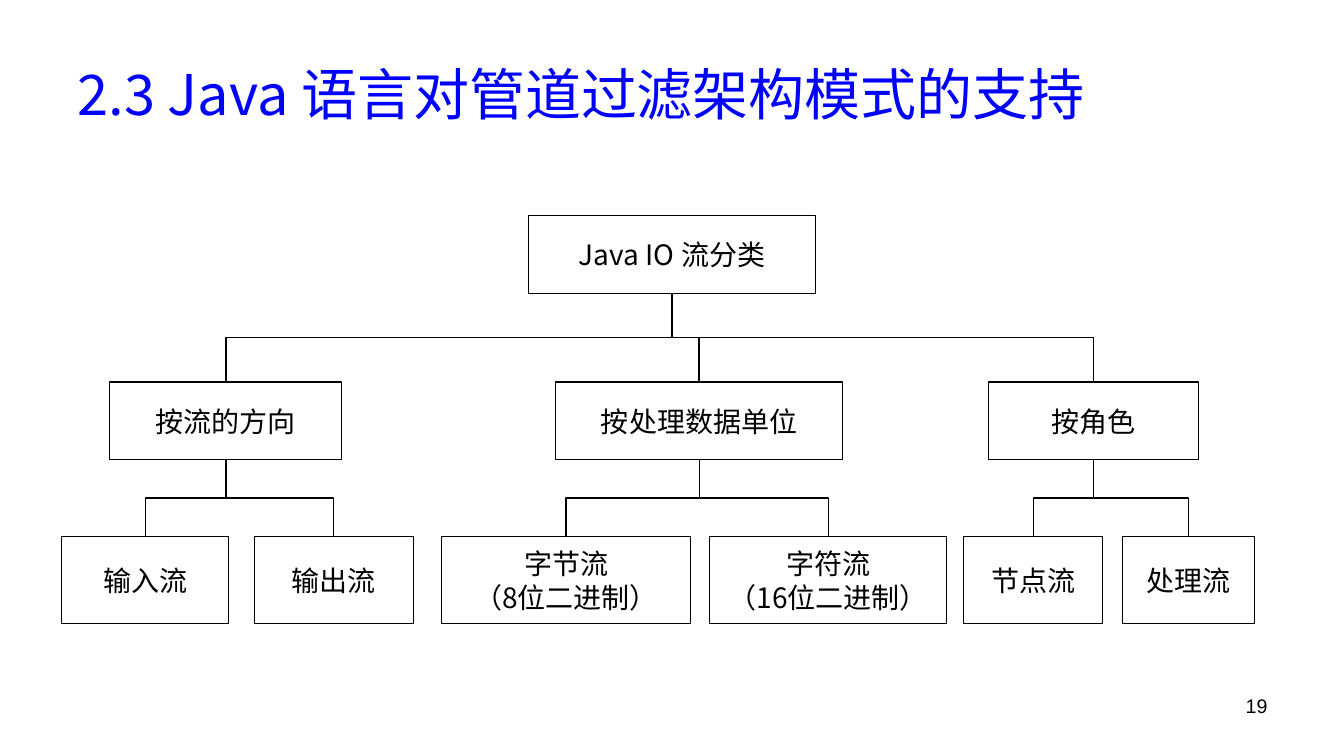
"""Build a slide with a tree that classifies Java IO streams."""
import pptx
import pptx.dml.color
import pptx.enum.shapes
import pptx.enum.text
import pptx.oxml
import pptx.oxml.ns
import pptx.util
from pptx.util import Inches

TITLE = "2.3 Java 语言对管道过滤架构模式的支持"
PAGE_NUMBER = "19"
ROOT = ("Java IO 流分类", 5.24, 2.85)
BRANCHES = [
    (("按流的方向", 1.09, 2.3), [("输入流", 0.61, 1.66), ("输出流", 2.52, 1.58)]),
    (("按处理数据单位", 5.51, 2.85),
     [("字节流\n（8位二进制）", 4.38, 2.47), ("字符流\n（16位二进制）", 7.04, 2.35)]),
    (("按角色", 9.8, 2.09), [("节点流", 9.56, 1.38), ("处理流", 11.13, 1.31)]),
]
LEVELS = [(2.14, 0.77), (3.79, 0.77), (5.32, 0.87)]
COLORS = {"title": "0000FF", "ink": "000000"}
CJK_FONT = "Noto Sans CJK SC"
ALIGN = pptx.enum.text.PP_ALIGN
MIDDLE = pptx.enum.text.MSO_ANCHOR.MIDDLE
TOP_SITE, BOTTOM_SITE = 0, 2


def color(name):
    return pptx.dml.color.RGBColor.from_string(COLORS[name])


def write(shape, text, size, align, ink="ink", font_name=CJK_FONT):
    frame = shape.text_frame
    frame.text = text
    frame.word_wrap = True
    for paragraph in frame.paragraphs:
        paragraph.alignment = align
        font = paragraph.font
        font.size = pptx.util.Pt(size)
        font.color.rgb = color(ink)
        font.name = font_name
        east_asian = pptx.oxml.parse_xml(
            f'<a:ea {pptx.oxml.ns.nsdecls("a")} typeface="{font_name}"/>')
        font._element.append(east_asian)
    return frame


def add_node(slide, node, level):
    text, left, width = node
    top, height = LEVELS[level]
    box = slide.shapes.add_shape(
        pptx.enum.shapes.MSO_SHAPE.RECTANGLE,
        Inches(left), Inches(top), Inches(width), Inches(height))
    box.shadow.inherit = False
    box.fill.background()
    box.line.color.rgb = color("ink")
    box.line.width = pptx.util.Pt(0.75)
    frame = write(box, text, 20, ALIGN.CENTER)
    frame.vertical_anchor = MIDDLE
    if "\n" in text:
        frame.margin_left = frame.margin_right = 0
        frame.margin_top = frame.margin_bottom = 0
    return box


def connect(slide, parent, child):
    """Join the two boxes with an elbow that leaves downwards."""
    start_x, start_y = parent.left + parent.width // 2, parent.top + parent.height
    end_x, end_y = child.left + child.width // 2, child.top
    elbow = slide.shapes.add_connector(
        pptx.enum.shapes.MSO_CONNECTOR.ELBOW, start_x, start_y, end_x, end_y)
    elbow.begin_connect(parent, BOTTOM_SITE)
    elbow.end_connect(child, TOP_SITE)
    drop, reach = end_y - start_y, abs(end_x - start_x)
    elbow.left = (start_x + end_x - drop) // 2
    elbow.top = (start_y + end_y - reach) // 2
    elbow.width, elbow.height = drop, reach
    goes_right = end_x > start_x
    properties = elbow._element.spPr
    transform = properties.find(pptx.oxml.ns.qn("a:xfrm"))
    transform.set("rot", str((270 if goes_right else 90) * 60000))
    transform.set("flipH", "1" if goes_right else "0")
    elbow.line.color.rgb = color("ink")
    elbow.line.width = pptx.util.Pt(1)
    properties.append(pptx.oxml.parse_xml(
        f'<a:effectLst {pptx.oxml.ns.nsdecls("a")}/>'))


def main():
    presentation = pptx.Presentation()
    presentation.slide_width = Inches(13.33)
    presentation.slide_height = Inches(7.5)
    slide = presentation.slides.add_slide(presentation.slide_layouts[5])

    title = slide.shapes.title
    title.left, title.top = Inches(0.67), Inches(0.3)
    title.width, title.height = Inches(12), Inches(1.25)
    frame = write(title, TITLE, 40, ALIGN.LEFT, "title")
    frame.auto_size = pptx.enum.text.MSO_AUTO_SIZE.NONE
    frame.vertical_anchor = MIDDLE

    number = slide.shapes.add_textbox(
        Inches(9.56), Inches(6.83), Inches(3.11), Inches(0.52))
    write(number, PAGE_NUMBER, 14, ALIGN.RIGHT, font_name="Arial")

    root = add_node(slide, ROOT, 0)
    for branch, leaves in BRANCHES:
        parent = add_node(slide, branch, 1)
        connect(slide, root, parent)
        for leaf in leaves:
            connect(slide, parent, add_node(slide, leaf, 2))

    presentation.save("out.pptx")


if __name__ == "__main__":
    main()
